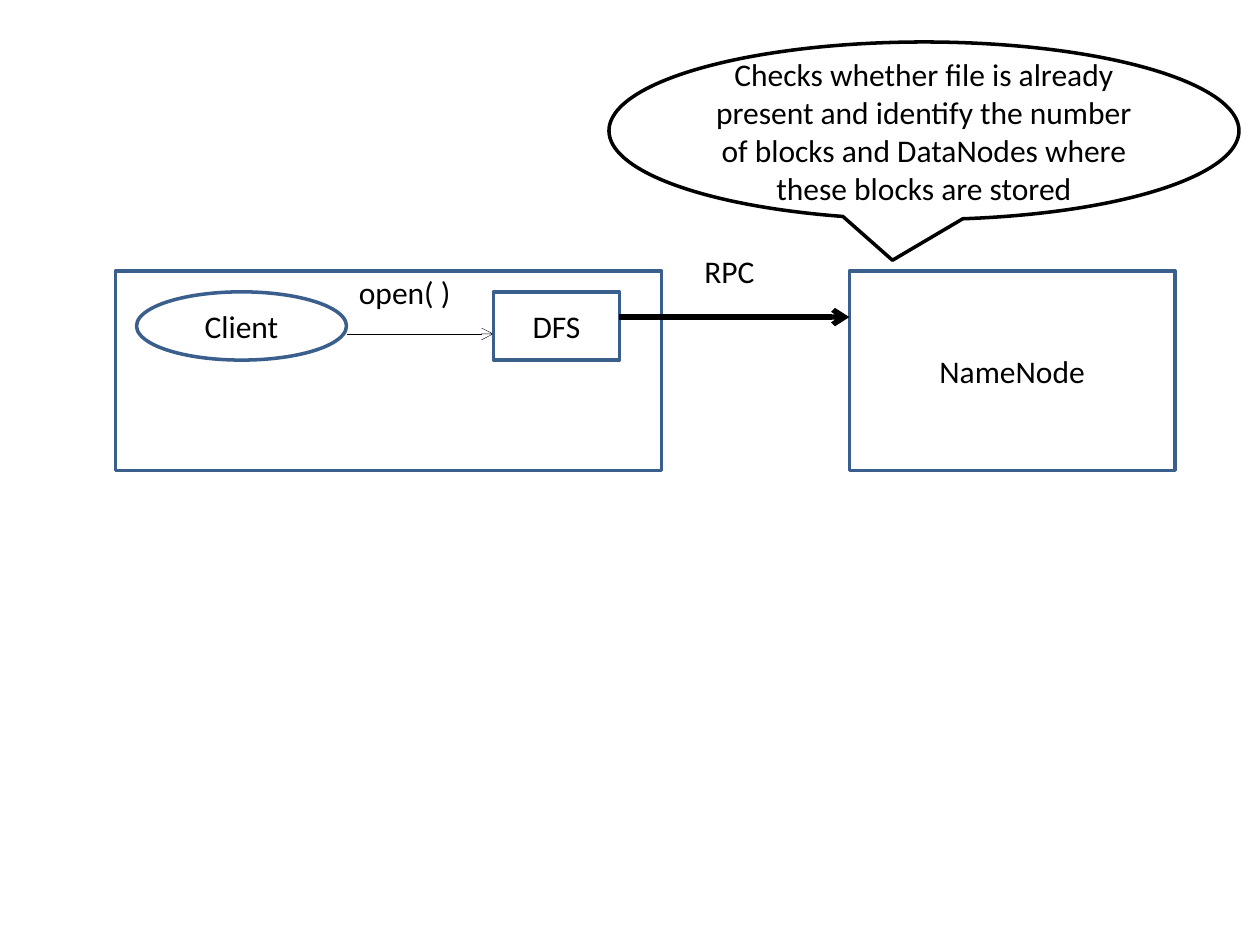
import collections

import pptx
import pptx.dml.color
import pptx.enum.dml
import pptx.enum.shapes
import pptx.enum.text
import pptx.oxml.ns
import pptx.util
from lxml import etree

UNIT = pptx.util.Inches(1) / 12
COLUMNS, ROWS = 120, 90
BLACK, WHITE, BLUE = "000000", "FFFFFF", "3A5F8C"
SHAPES = pptx.enum.shapes.MSO_SHAPE
Box = collections.namedtuple("Box", "left top width height")


def grid(value):
    return pptx.util.Emu(round(value * UNIT))


def color(value):
    return pptx.dml.color.RGBColor.from_string(value)


def inside(box, left, top, width, height):
    return Box(box.left + left, box.top + top, width, height)


def write(shape, text, alignment):
    frame = shape.text_frame
    frame.word_wrap = True
    paragraph = frame.paragraphs[0]
    paragraph.alignment = alignment
    run = paragraph.add_run()
    run.text = text
    run.font.name = "Calibri"
    run.font.size = pptx.util.Pt(18)
    run.font.color.rgb = color(BLACK)


def add_outline(slide, kind, box, text="", line=BLUE, fill=None):
    shape = slide.shapes.add_shape(kind, *map(grid, box))
    shape.shadow.inherit = False
    if fill:
        shape.fill.solid()
        shape.fill.fore_color.rgb = color(fill)
    else:
        shape.fill.background()
    shape.line.color.rgb = color(line)
    shape.line.width = pptx.util.Pt(2)
    if text:
        shape.text_frame.vertical_anchor = pptx.enum.text.MSO_ANCHOR.MIDDLE
        write(shape, text, pptx.enum.text.PP_ALIGN.CENTER)
    return shape


def add_label(shapes, box, text):
    label = shapes.add_textbox(*map(grid, box))
    write(label, text, pptx.enum.text.PP_ALIGN.LEFT)
    label.text_frame.auto_size = pptx.enum.text.MSO_AUTO_SIZE.SHAPE_TO_FIT_TEXT


def add_arrow(shapes, start, end, row, width, dash=None):
    arrow = shapes.add_connector(
        pptx.enum.shapes.MSO_CONNECTOR.STRAIGHT,
        grid(start), grid(row), grid(end), grid(row))
    arrow.line.color.rgb = color(BLACK)
    arrow.line.width = pptx.util.Pt(width)
    if dash:
        arrow.line.dash_style = dash
    line = arrow.line._get_or_add_ln()
    etree.SubElement(line, pptx.oxml.ns.qn("a:tailEnd"), type="arrow")
    properties = arrow._element.spPr
    etree.SubElement(properties, pptx.oxml.ns.qn("a:effectLst"))


def add_client_machine(slide, box):
    client = inside(box, 2, 2, 20, 6.5)
    file_system = inside(box, 36, 2, 12, 6.5)
    add_outline(slide, SHAPES.RECTANGLE, box)
    add_outline(slide, SHAPES.OVAL, client, "Client")
    call = slide.shapes.add_group_shape()
    client_right = client.left + client.width
    add_arrow(call.shapes, client_right, file_system.left, box.top + 6, 0.25,
              pptx.enum.dml.MSO_LINE.ROUND_DOT)
    add_label(call.shapes, Box(client_right, box.top - 0.4, 16, 4.8), "open( )")
    add_outline(slide, SHAPES.RECTANGLE, file_system, "DFS")
    return file_system


def add_name_node(slide, box):
    add_outline(slide, SHAPES.RECTANGLE, box, "NameNode")


def add_remote_call(slide, start, end, row):
    add_arrow(slide.shapes, start, end, row, 3)
    add_label(slide.shapes, Box(start + 6.9, row - 6.8, 10.2, 4.8), "RPC")


def add_callout(slide, box):
    callout = add_outline(
        slide, SHAPES.OVAL_CALLOUT, box,
        "Checks whether file is already present and identify the number "
        "of blocks and DataNodes where these blocks are stored",
        BLACK, WHITE)
    callout.adjustments[0] = -0.05
    callout.adjustments[1] = 0.73


def main():
    presentation = pptx.Presentation()
    presentation.slide_width = grid(COLUMNS)
    presentation.slide_height = grid(ROWS)
    slide = presentation.slides.add_slide(presentation.slide_layouts[6])
    machine = Box(11, 25.8, 52, 19)
    name_node = Box(80.9, machine.top, 31, machine.height)
    file_system = add_client_machine(slide, machine)
    add_name_node(slide, name_node)
    add_remote_call(slide, file_system.left + file_system.width,
                    name_node.left, machine.top + 4.4)
    add_callout(slide, Box(58, 4, 60, 16.9))
    presentation.save("out.pptx")


if __name__ == "__main__":
    main()
